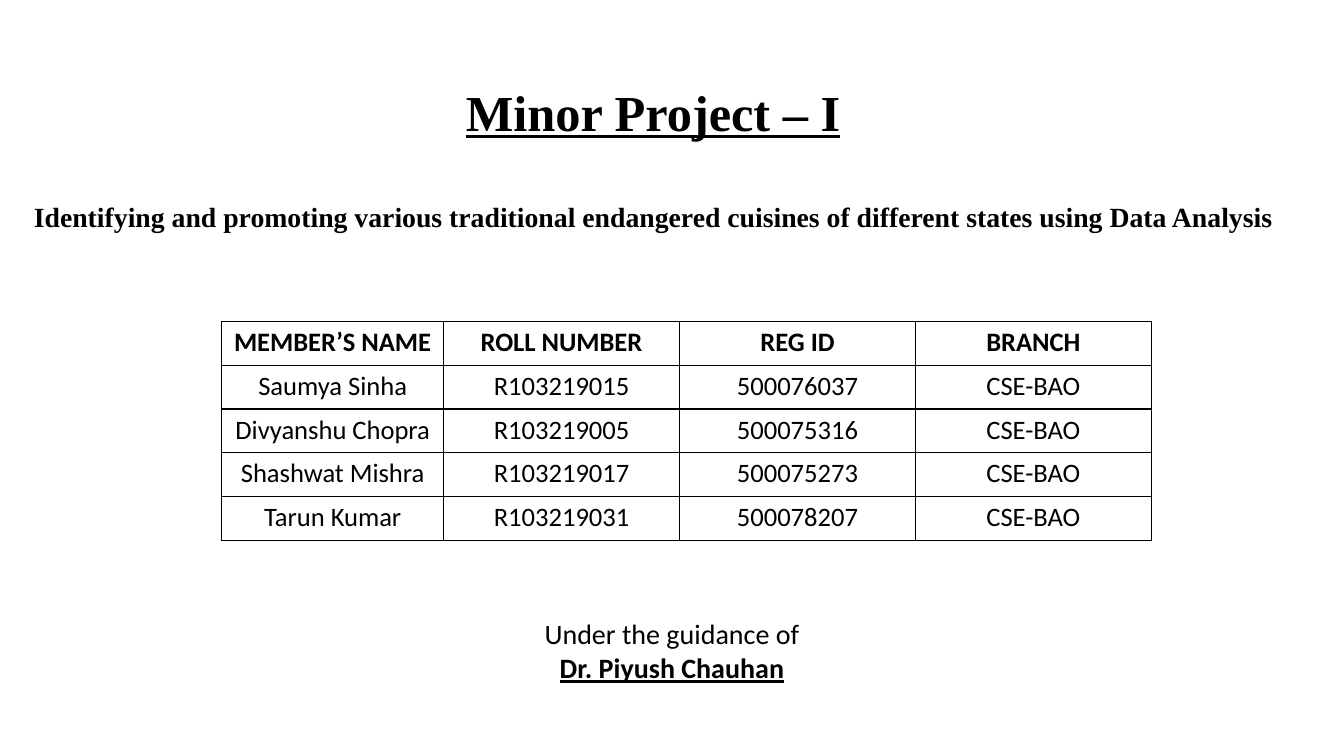
from collections import namedtuple
from dataclasses import dataclass

from lxml.etree import SubElement
from pptx import Presentation
from pptx.dml.color import RGBColor
from pptx.enum.text import MSO_ANCHOR as Anchor, PP_ALIGN as Align
from pptx.oxml.ns import qn
from pptx.util import Inches, Pt

Box = namedtuple("Box", "left top width height")


@dataclass(frozen=True)
class Theme:
    """Colours, fonts and type sizes of the slide."""
    ink: str = "000000"
    heading_font: str = "Times New Roman"
    body_font: str = "Calibri"
    title_size: float = 36
    topic_size: float = 19.8
    table_size: float = 19
    guide_size: float = 20
    rule_width: float = 1


THEME = Theme()
SLIDE_WIDTH, SLIDE_HEIGHT = Inches(13.33), Inches(7.5)
COLUMN, ROW = SLIDE_WIDTH / 100, SLIDE_HEIGHT / 100

MEMBER_WEIGHTS = (2.2, 2.34, 2.34, 2.34)
MEMBER_HEADINGS = ("MEMBER’S NAME", "ROLL NUMBER", "REG ID", "BRANCH")
MEMBERS = (
    ("Saumya Sinha", "R103219015", "500076037"),
    ("Divyanshu Chopra", "R103219005", "500075316"),
    ("Shashwat Mishra", "R103219017", "500075273"),
    ("Tarun Kumar", "R103219031", "500078207"),
)
BRANCH = "CSE-BAO"


def grid_box(column, row, columns, rows):
    """Turn a place on the 100 by 100 slide grid into lengths."""
    return Box(round(column * COLUMN), round(row * ROW),
               round(columns * COLUMN), round(rows * ROW))


def write(paragraph, words, font, size, bold=False, underline=False):
    """Fill a centred paragraph with styled words."""
    paragraph.text = words
    paragraph.alignment = Align.CENTER
    paragraph.font.name = font
    paragraph.font.size = Pt(size)
    paragraph.font.bold = bold
    paragraph.font.underline = underline
    paragraph.font.color.rgb = RGBColor.from_string(THEME.ink)


def add_text_frame(slide, box):
    """Add a wrapping text box and return its frame."""
    frame = slide.shapes.add_textbox(*box).text_frame
    frame.word_wrap = True
    return frame


def add_heading(slide, box):
    """Add the project title with its topic below."""
    heading = add_text_frame(slide, box)
    heading.vertical_anchor = Anchor.TOP
    heading.margin_top = round(box.height * 0.08)
    write(heading.paragraphs[0], "Minor Project – I", THEME.heading_font,
          THEME.title_size, bold=True, underline=True)
    topic = heading.add_paragraph()
    write(topic, "Identifying and promoting various traditional endangered "
          "cuisines of different states using Data Analysis",
          THEME.heading_font, THEME.topic_size, bold=True)
    topic.space_before = Pt(42)


def rule_cell(cell):
    """Draw thin rules on all four sides of a cell."""
    properties = cell._tc.get_or_add_tcPr()
    for side in ("a:lnL", "a:lnR", "a:lnT", "a:lnB"):
        rule = SubElement(properties, qn(side), w=str(Pt(THEME.rule_width)))
        ink = SubElement(rule, qn("a:solidFill"))
        SubElement(ink, qn("a:srgbClr"), val=THEME.ink)


def add_members(slide, box):
    """Add the table of project members."""
    entries = [MEMBER_HEADINGS, *((*member, BRANCH) for member in MEMBERS)]
    members = slide.shapes.add_table(
        len(entries), len(MEMBER_HEADINGS), *box).table
    members.first_row = members.horz_banding = False
    for column, weight in zip(members.columns, MEMBER_WEIGHTS):
        column.width = round(box.width * weight / sum(MEMBER_WEIGHTS))
    for row_index, entry in enumerate(entries):
        for column_index, words in enumerate(entry):
            cell = members.cell(row_index, column_index)
            rule_cell(cell)
            cell.fill.background()
            write(cell.text_frame.paragraphs[0], words, THEME.body_font,
                  THEME.table_size, bold=row_index == 0)


def add_guidance(slide, box):
    """Add the name of the project's guide."""
    guidance = add_text_frame(slide, box)
    write(guidance.paragraphs[0], "Under the guidance of",
          THEME.body_font, THEME.guide_size)
    write(guidance.add_paragraph(), "Dr. Piyush Chauhan", THEME.body_font,
          THEME.guide_size, bold=True, underline=True)


def main():
    """Build and save the slide."""
    deck = Presentation()
    deck.slide_width, deck.slide_height = SLIDE_WIDTH, SLIDE_HEIGHT
    slide = deck.slides.add_slide(deck.slide_layouts[6])
    add_heading(slide, grid_box(-1.4, 8.8, 100, 23.3))
    add_members(slide, grid_box(16.5, 42.53, 69.17, 28.93))
    add_guidance(slide, grid_box(25, 80.93, 50, 10.27))
    deck.save("out.pptx")


if __name__ == "__main__":
    main()
